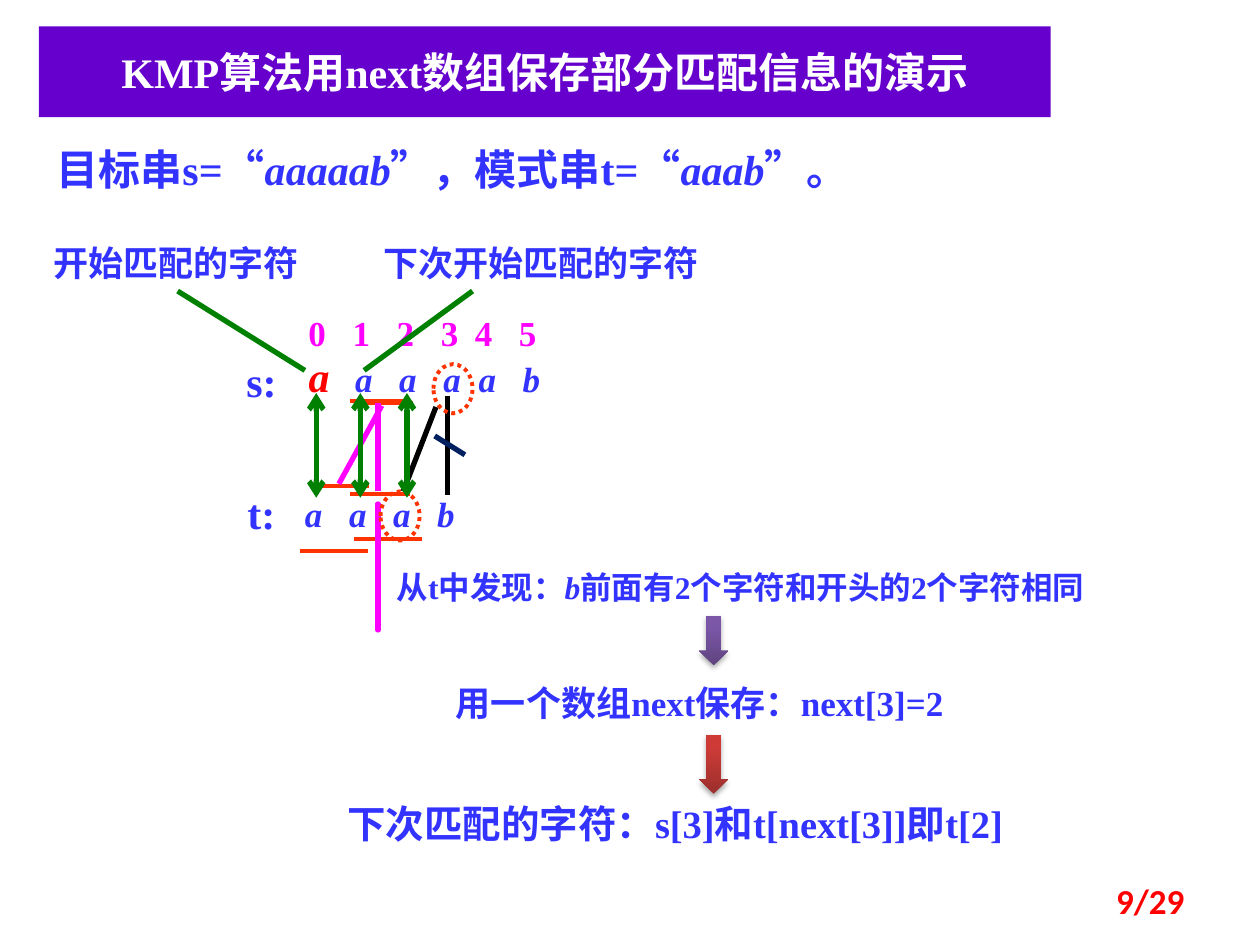
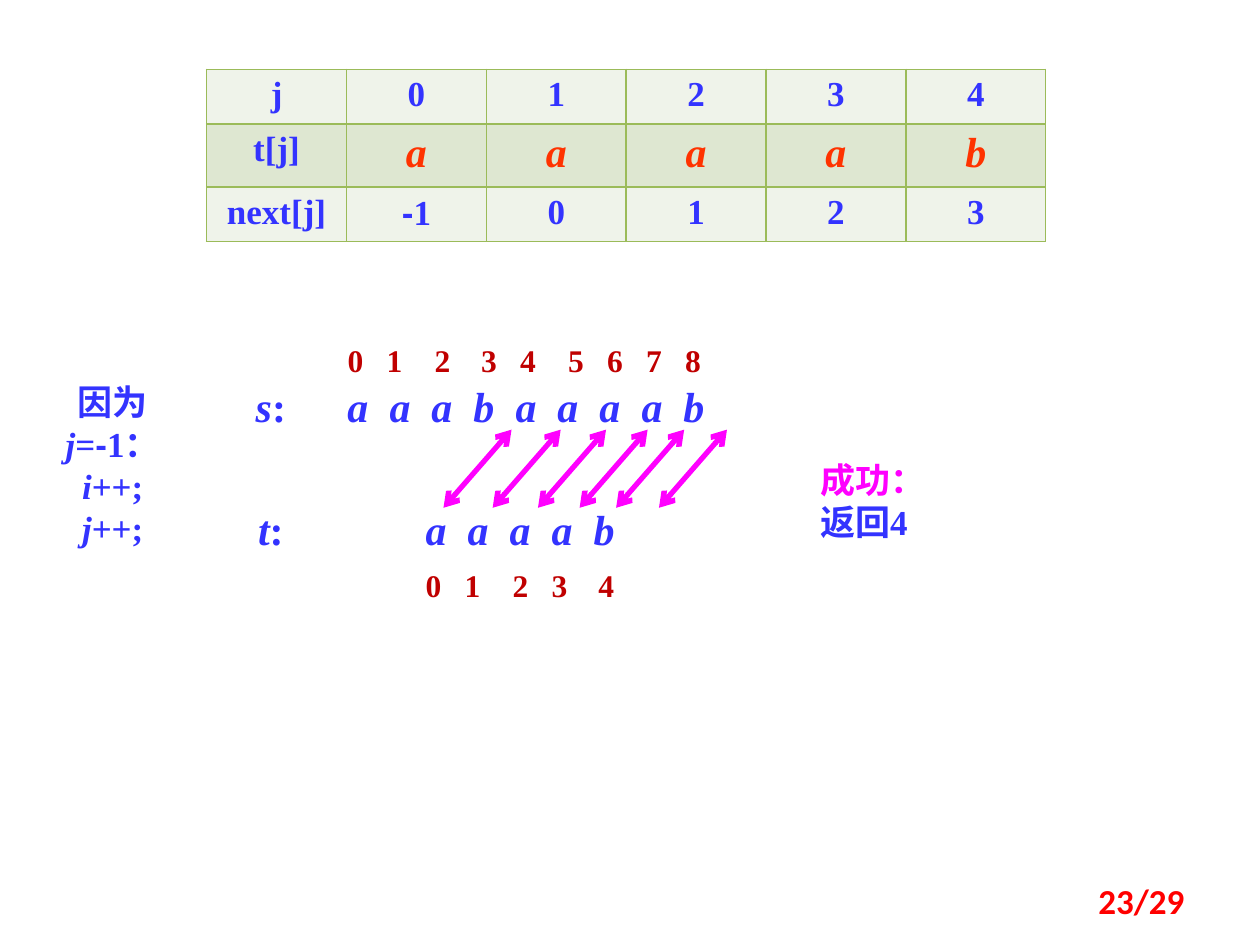
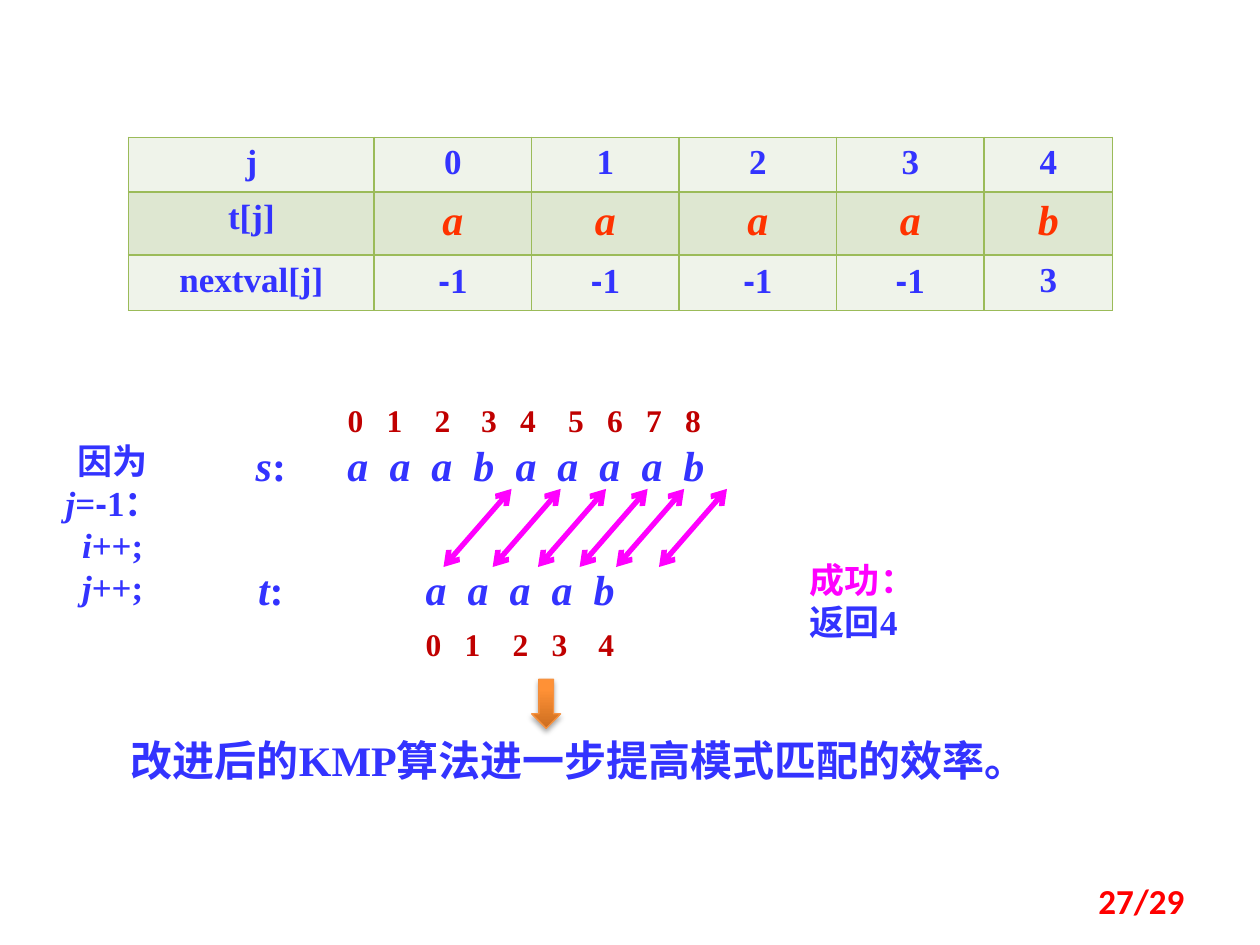
"""Three slides on KMP string matching with next and nextval arrays."""
from lxml import etree
from pptx import Presentation
from pptx import util as u
from pptx.dml.color import RGBColor
from pptx.enum import dml, shapes, text
from pptx.oxml.ns import qn

COLORS = {
    "blue": "3333FF", "magenta": "FF00FF", "red": "FF0000", "orange": "FF3300",
    "green": "008000", "black": "000000", "navy": "002060", "crimson": "C00000",
    "white": "FFFFFF", "purple": "6600CC", "border": "9BBB59",
    "light row": "EFF3EA", "dark row": "DEE7D1", "amber": "F69240",
}
ARROW_FILLS = {
    "violet": ("5F4480", "7C57A8"),
    "brick": ("9C2F2D", "CE3B37"),
    "amber": ("CC6E20", "FF9136"),
}
SERIF, HAN, SANS, PAGE = "Times New Roman", "Noto Sans CJK SC", "Arial", "Calibri"
ALIGN = {"left": text.PP_ALIGN.LEFT, "center": text.PP_ALIGN.CENTER,
         "right": text.PP_ALIGN.RIGHT}
ITALIC, UPRIGHT = {"italic": True}, {"italic": False}
MINUS_ONE = [("-", {"font": SANS}), "1"]
PAGE_COUNT = 29


def rgb(name):
    """Return the named colour."""
    return RGBColor.from_string(COLORS[name])


def add_xml(parent, tag, **attributes):
    """Append a drawing element to its parent and return it."""
    return etree.SubElement(parent, qn("a:" + tag), attributes)


def write(frame, content, align="left", tabs=(), **style):
    """Fill a text frame with paragraphs of runs in the given format."""
    paragraphs = content if isinstance(content, list) else [[content]]
    for index, runs in enumerate(paragraphs):
        paragraph = frame.add_paragraph() if index else frame.paragraphs[0]
        paragraph.alignment = ALIGN[align]
        if tabs:
            stops = add_xml(paragraph._p.get_or_add_pPr(), "tabLst")
            for stop in tabs:
                add_xml(stops, "tab", pos=str(u.Inches(stop)), algn="l")
        for item in runs:
            words, changes = (item, {}) if isinstance(item, str) else item
            look = {"size": 20, "color": "blue", "font": SERIF, "bold": True,
                    "italic": False, **style, **changes}
            run = paragraph.add_run()
            run.text = words
            run.font.size = u.Pt(look["size"])
            run.font.bold = look["bold"]
            run.font.italic = look["italic"]
            run.font.color.rgb = rgb(look["color"])
            run.font.name = look["font"]
            properties = run._r.get_or_add_rPr()
            properties.set("lang", "zh-CN")
            add_xml(properties, "ea", typeface=HAN)


def bezier(start, first, second, end, steps=12):
    """Return points along a cubic curve, without its start."""
    points = []
    for step in range(1, steps + 1):
        t = step / steps
        weights = ((1 - t) ** 3, 3 * t * (1 - t) ** 2, 3 * t * t * (1 - t), t ** 3)
        points.append(tuple(sum(w * p[axis] for w, p in
                                zip(weights, (start, first, second, end)))
                            for axis in (0, 1)))
    return points


class Deck:
    """Hold the presentation, its style and the current slide."""

    def __init__(self):
        """Start an empty deck of 10 by 7.5 inches."""
        self.presentation = Presentation()
        self.presentation.slide_width = u.Inches(10)
        self.presentation.slide_height = u.Inches(7.5)

    def new_slide(self, number):
        """Add a blank slide with its page number."""
        layout = self.presentation.slide_layouts[6]
        self.slide = self.presentation.slides.add_slide(layout)
        self.label(f"{number}/{PAGE_COUNT}", 7.17, 6.95, 2.33, 0.4, align="right",
                   font=PAGE, color="red", middle=True)

    def label(self, content, left, top, width, height=0.5, inset=True, middle=False,
              **style):
        """Add a wrapping text box."""
        box = self.slide.shapes.add_textbox(*map(u.Inches, (left, top, width, height)))
        frame = box.text_frame
        frame.word_wrap = True
        if middle:
            frame.vertical_anchor = text.MSO_ANCHOR.MIDDLE
        if not inset:
            frame.margin_left = frame.margin_right = 0
            frame.margin_top = frame.margin_bottom = 0
        write(frame, content, **style)

    def characters(self, string, stops, left, top, width, height=0.5, first=None,
                   **style):
        """Add a row of single characters set on tab stops."""
        runs = [(string[0], first or {}), "\t" + "\t".join(string[1:])]
        self.label([runs], left, top, width, height, tabs=stops, **style)

    def shape(self, kind, left, top, width, height):
        """Add a preset shape without shadow, fill or line."""
        shape = self.slide.shapes.add_shape(
            kind, *map(u.Inches, (left, top, width, height)))
        shape.shadow.inherit = False
        shape.fill.background()
        shape.line.fill.background()
        return shape

    def title(self, content):
        """Add the title band."""
        band = self.shape(shapes.MSO_SHAPE.RECTANGLE, 0.31, 0.21, 8.03, 0.72)
        band.fill.solid()
        band.fill.fore_color.rgb = rgb("purple")
        band.text_frame.word_wrap = True
        write(band.text_frame, content, align="center", size=24, color="white")

    def ring(self, left, top):
        """Add a dotted ring around a character."""
        ring = self.shape(shapes.MSO_SHAPE.OVAL, left, top, 0.31, 0.39)
        ring.line.color.rgb = rgb("orange")
        ring.line.width = u.Pt(2.25)
        ring.line.dash_style = dml.MSO_LINE.ROUND_DOT

    def down_arrow(self, left, top, height, fill, outline=None):
        """Add a shaded block arrow with a soft shadow."""
        arrow = self.shape(shapes.MSO_SHAPE.DOWN_ARROW, left, top, 0.23, height)
        arrow.fill.gradient()
        arrow.fill.gradient_angle = 90
        for stop, color, position in zip(arrow.fill.gradient_stops,
                                         ARROW_FILLS[fill], (0, 0.8)):
            stop.color.rgb = RGBColor.from_string(color)
            stop.position = position
        if outline:
            arrow.line.color.rgb = rgb(outline)
            arrow.line.width = u.Pt(0.75)
        effects = arrow._element.spPr.find(qn("a:effectLst"))
        shadow = add_xml(effects, "outerShdw", blurRad=str(u.Pt(3.1)),
                         dist=str(u.Pt(1.8)), dir="5400000", rotWithShape="0")
        color = add_xml(shadow, "srgbClr", val=COLORS["black"])
        add_xml(color, "alpha", val="35000")

    def line(self, x1, y1, x2, y2, color, width=3, arrows=False):
        """Add a straight line, with arrowheads at both ends if asked."""
        connector = self.slide.shapes.add_connector(
            shapes.MSO_CONNECTOR.STRAIGHT, *map(u.Inches, (x1, y1, x2, y2)))
        connector.line.color.rgb = rgb(color)
        connector.line.width = u.Pt(width)
        if arrows:
            outline = connector.line._get_or_add_ln()
            for end in ("headEnd", "tailEnd"):
                add_xml(outline, end, type="arrow")
        add_xml(connector._element.spPr, "effectLst")

    def curve(self, start, *segments):
        """Add an open curve made of cubic segments."""
        points = [start]
        for segment in segments:
            points += bezier(points[-1], *segment)
        builder = self.slide.shapes.build_freeform(*start, scale=u.Inches(1))
        builder.add_line_segments(points[1:], close=False)
        curve = builder.convert_to_shape()
        curve.shadow.inherit = False
        curve.fill.background()
        curve.line.color.rgb = rgb("magenta")
        curve.line.width = u.Pt(3)

    def table(self, left, top, widths, heights, rows):
        """Add the table of pattern characters and their array values."""
        table = self.slide.shapes.add_table(
            len(rows), len(widths),
            *map(u.Inches, (left, top, sum(widths), sum(heights)))).table
        table.first_row = table.horz_banding = False
        for column, width in zip(table.columns, widths):
            column.width = u.Inches(width)
        for row, height in zip(table.rows, heights):
            row.height = u.Inches(height)
        for row_index, row in enumerate(rows):
            for column_index, value in enumerate(row):
                cell = table.cell(row_index, column_index)
                letter = row_index == 1 and column_index > 0
                style = {"size": 24, "color": "orange", "italic": True} if letter else {}
                write(cell.text_frame, [MINUS_ONE] if value == "-1" else value,
                      align="center", **style)
                cell.fill.solid()
                cell.fill.fore_color.rgb = rgb("dark row" if row_index == 1
                                               else "light row")
                self.border(cell)

    def border(self, cell):
        """Draw a thin line on each side of a cell."""
        properties = cell._tc.get_or_add_tcPr()
        for index, side in enumerate(("lnL", "lnR", "lnT", "lnB")):
            edge = add_xml(properties, side, w=str(u.Pt(1)))
            add_xml(add_xml(edge, "solidFill"), "srgbClr", val=COLORS["border"])
            properties.insert(index, edge)

    def match(self, top):
        """Draw the final alignment of s and t, with s at the given height."""
        letter_stops = [step / 3 for step in range(1, 9)]
        digit_stops = [0.31, 0.69, 1.06, 1.37, 1.75, 2.06, 2.37, 2.68]
        pattern_stops = [0.31, 0.69, 1, 1.37]
        letters = {"size": 24, "italic": True}
        digits = {"size": 18, "color": "crimson"}
        self.characters("aaabaaaab", letter_stops, 2.66, top, 3.36, **letters)
        self.characters("012345678", digit_stops, 2.66, top - 0.31, 3.28, 0.4, **digits)
        self.characters("aaaab", letter_stops[:4], 3.28, top + 0.98, 2.27, **letters)
        self.characters("01234", pattern_stops, 3.28, top + 1.47, 1.95, 0.4, **digits)
        for name, offset in (("s", 0), ("t", 0.98)):
            self.label([[(name, ITALIC), ":"]], 1.8, top + offset, 0.7,
                       align="center", size=24)
        self.label([["因为", ("j", ITALIC), "=", MINUS_ONE[0], "1："],
                    [("i", ITALIC), "++;"], [("j", ITALIC), "++;"]],
                   0.23, top, 1.33, 1.11, align="center")
        for x in (4.06, 4.45, 4.81, 5.14, 5.43, 5.77):
            self.line(x, top + 0.44, x - 0.54, top + 1.06, "magenta", arrows=True)

    def success(self, left, top):
        """State the result of the match."""
        self.label([[("成功：", {"color": "magenta"})], ["返回4"]], left, top, 1.48, 0.77)


def demo_slide(deck):
    """Show how next keeps the partial match."""
    deck.new_slide(9)
    deck.characters("aaaaab", [0.37, 0.72, 1.07, 1.35, 1.7], 2.35, 2.73, 2.52,
                    italic=True, first={"size": 24, "color": "red"})
    deck.characters("012345", [0.35, 0.7, 1.05, 1.32, 1.67], 2.35, 2.42, 2.6, 0.43,
                    color="magenta")
    deck.characters("aaab", [0.35, 0.7, 1.05], 2.42, 3.91, 1.82, 0.34, inset=False,
                    italic=True)
    for x, y, length in ((2.78, 3.92, 0.47), (2.78, 3.18, 0.47), (2.46, 3.86, 0.47),
                         (2.81, 3.2, 0.47), (2.81, 4.28, 0.54), (2.38, 4.37, 0.54)):
        deck.line(x, y, x + length, y, "orange", 2.25)
    deck.line(3, 3.2, 3, 3.9, "magenta")
    deck.line(3.03, 3.22, 2.69, 3.84, "magenta")
    deck.curve((2.58, 4.38),
               ((2.59, 4.38), (2.59, 4.39), (2.63, 4.42)),
               ((2.67, 4.45), (2.74, 4.53), (2.82, 4.56)),
               ((2.9, 4.58), (3.05, 4.61), (3.09, 4.57)),
               ((3.14, 4.52), (3.12, 4.4), (3.1, 4.27)))
    deck.line(3.55, 3.14, 3.55, 3.93, "black")
    deck.line(3.45, 3.46, 3.69, 3.61, "navy")
    deck.ring(3.44, 2.89)
    deck.ring(3.02, 3.9)
    deck.line(3.46, 3.23, 3.2, 3.9, "black")
    for name, top in (("s:", 2.77), ("t:", 3.82)):
        deck.label(name, 1.8, top, 0.55, align="center", size=24)
    deck.label("开始匹配的字符", 0.23, 1.87, 2.34, 0.44, align="center", font=HAN)
    deck.label("下次开始匹配的字符", 2.89, 1.87, 2.81, 0.44, align="center", font=HAN)
    deck.line(1.41, 2.31, 2.42, 2.94, "green")
    deck.line(3.75, 2.31, 2.89, 2.94, "green")
    for x in (2.51, 2.86, 3.23):
        deck.line(x, 3.12, x, 3.95, "green", arrows=True)
    deck.label([["从t中发现：", ("b", ITALIC), "前面有2个字符和开头的2个字符相同"]],
               3.05, 4.46, 6.4, 0.4, size=18)
    deck.down_arrow(5.55, 4.89, 0.39, "violet")
    deck.label("用一个数组next保存：next[3]=2", 3.52, 5.36, 4.45, 0.44)
    deck.down_arrow(5.55, 5.83, 0.47, "brick")
    deck.label("下次匹配的字符：s[3]和t[next[3]]即t[2]", 2.66, 6.3, 6.25, 0.47, size=22)
    deck.label([["目标串s=“", ("aaaaab", ITALIC), "”，模式串t=“", ("aaab", ITALIC), "”。"]],
               0.35, 1.09, 6.76, size=24)
    deck.title("KMP算法用next数组保存部分匹配信息的演示")


def next_slide(deck):
    """Show the match with the next array."""
    deck.new_slide(23)
    deck.table(1.64, 0.55, [1.11] * 6, [0.41, 0.47, 0.41],
               [["j", *"01234"], ["t[j]", *"aaaab"],
                ["next[j]", "-1", *"0123"]])
    deck.match(2.97)
    deck.success(6.41, 3.59)


def nextval_slide(deck):
    """Show the match with the improved nextval array."""
    deck.new_slide(27)
    deck.table(1.02, 1.09, [1.95, 1.25, 1.17, 1.25, 1.17, 1.02], [0.43, 0.5, 0.44],
               [["j", *"01234"], ["t[j]", *"aaaab"],
                ["nextval[j]", *["-1"] * 4, "3"]])
    deck.match(3.44)
    deck.success(6.33, 4.38)
    deck.label("改进后的KMP算法进一步提高模式匹配的效率。", 0.94, 5.78, 7.58, size=24)
    deck.down_arrow(4.22, 5.39, 0.39, "amber", outline="amber")


def main():
    """Build and save the deck."""
    deck = Deck()
    demo_slide(deck)
    next_slide(deck)
    nextval_slide(deck)
    deck.presentation.save("out.pptx")


if __name__ == "__main__":
    main()
